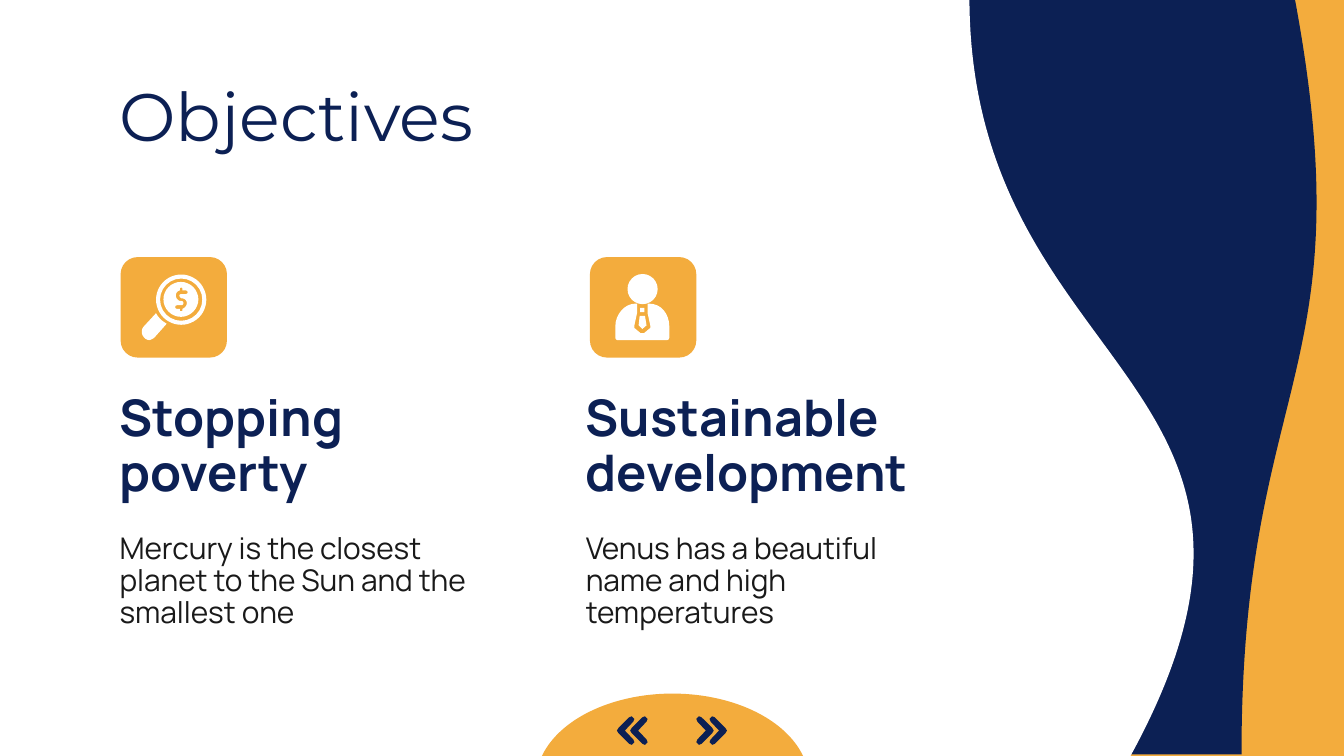
from lxml.etree import SubElement
from pptx import Presentation
from pptx.dml.color import RGBColor
from pptx.enum.shapes import MSO_SHAPE
from pptx.enum.text import MSO_ANCHOR, MSO_AUTO_SIZE, PP_ALIGN
from pptx.oxml.ns import qn
from pptx.util import Cm, Pt

NAVY = RGBColor(0x0C, 0x20, 0x54)
ORANGE = RGBColor(0xF3, 0xAC, 0x3D)
WHITE = RGBColor(0xFF, 0xFF, 0xFF)
INK = RGBColor(0x19, 0x19, 0x19)

HANDLE = [
    (2.95, 5.92), (2.72, 6.17), (2.62, 6.27, 2.72, 6.43, 2.82, 6.43),
    (2.84, 6.43, 2.9, 6.4, 2.92, 6.38), (3.15, 6.12),
    (3.12, 6.1, 3.07, 6.07, 3.05, 6.05), (3.02, 6.02, 2.97, 5.97, 2.95, 5.92),
]
COIN = [
    (3.42, 5.33), (3.6, 5.33, 3.75, 5.48, 3.75, 5.66),
    (3.75, 5.84, 3.6, 5.99, 3.42, 5.99), (3.24, 5.99, 3.09, 5.84, 3.09, 5.66),
    (3.09, 5.48, 3.24, 5.33, 3.42, 5.33),
]
DOLLAR = [
    (3.43, 5.44), (3.45, 5.44, 3.45, 5.46, 3.45, 5.49), (3.51, 5.49),
    (3.56, 5.49, 3.56, 5.56, 3.51, 5.56), (3.43, 5.56),
    (3.38, 5.56, 3.38, 5.61, 3.43, 5.64), (3.45, 5.64),
    (3.56, 5.66, 3.56, 5.79, 3.45, 5.84), (3.45, 5.87),
    (3.45, 5.89, 3.4, 5.89, 3.4, 5.87), (3.4, 5.84), (3.35, 5.84),
    (3.3, 5.84, 3.3, 5.77, 3.35, 5.77), (3.43, 5.77),
    (3.48, 5.77, 3.48, 5.69, 3.43, 5.69), (3.4, 5.69),
    (3.3, 5.66, 3.3, 5.51, 3.4, 5.49), (3.4, 5.46),
    (3.4, 5.44, 3.41, 5.44, 3.43, 5.44),
]
JACKET = [
    (12.01, 5.74), (11.81, 5.74, 11.63, 5.94, 11.63, 6.17), (11.63, 6.38),
    (11.63, 6.4, 11.64, 6.43, 11.68, 6.43), (12.6, 6.43),
    (12.64, 6.43, 12.65, 6.4, 12.65, 6.38), (12.65, 6.17),
    (12.65, 5.94, 12.5, 5.74, 12.27, 5.74), (12.24, 5.74), (12.24, 5.92),
    (12.29, 6.15), (12.29, 6.2), (12.17, 6.3), (12.11, 6.3), (11.99, 6.2),
    (11.99, 6.15), (12.04, 5.92), (12.04, 5.74),
]
TIE = [(12.09, 5.97), (12.07, 6.15), (12.14, 6.22), (12.22, 6.15), (12.19, 5.97)]
CHEVRON_TOP = [(0.18, 0.27), (0.02, 0.1), (0, 0.05), (0.05, 0), (0.1, 0.02),
               (0.3, 0.22), (0.33, 0.27)]
CHEVRON = CHEVRON_TOP + [(x, 0.54 - y) for x, y in CHEVRON_TOP[-2:0:-1]]

OBJECTIVES = [
    (2.01, 2.28, ["Stopping", "poverty"],
     "Mercury is the closest planet to the Sun and the smallest one"),
    (10.82, 11.15, ["Sustainable development"],
     "Venus has a beautiful name and high temperatures"),
]


def flatten(contour, steps=8):
    points = [contour[0]]
    for segment in contour[1:]:
        if len(segment) == 2:
            points.append(segment)
            continue
        ends = (points[-1], segment[:2], segment[2:4], segment[4:])
        for step in range(1, steps + 1):
            t = step / steps
            weights = ((1 - t) ** 3, 3 * t * (1 - t) ** 2, 3 * t * t * (1 - t), t ** 3)
            points.append(tuple(sum(w * end[axis] for w, end in zip(weights, ends))
                                for axis in (0, 1)))
    return [(Cm(x), Cm(y)) for x, y in points]


class SlideWriter:
    title_font = "Montserrat"
    text_font = "Manrope"
    inset = Cm(0.25)

    def __init__(self, slide):
        self.slide = slide

    def paint(self, shape, color):
        shape.shadow.inherit = False
        shape.fill.solid()
        shape.fill.fore_color.rgb = color
        shape.line.fill.background()

    def preset(self, kind, box, color, adjustments=(), rotation=0, flip=False):
        shape = self.slide.shapes.add_shape(kind, *map(Cm, box))
        for index, value in enumerate(adjustments):
            shape.adjustments[index] = value
        shape.rotation = rotation
        if flip:
            shape._element.spPr.get_or_add_xfrm().set("flipH", "1")
        self.paint(shape, color)

    def outline(self, contours, color):
        first, *others = map(flatten, contours)
        builder = self.slide.shapes.build_freeform(*first[0], scale=1.0)
        builder.add_line_segments(first[1:], close=True)
        for points in others:
            builder.move_to(*points[0])
            builder.add_line_segments(points[1:], close=True)
        self.paint(builder.convert_to_shape(), color)

    def text(self, idx, box, paragraphs, font, size, color, bold=False, spacing=0.9):
        holder = self.slide.placeholders[idx]
        holder.left, holder.top, holder.width, holder.height = map(Cm, box)
        self.slide.shapes._spTree.append(holder._element)
        frame = holder.text_frame
        frame.word_wrap = True
        frame.auto_size = MSO_AUTO_SIZE.NONE
        frame.vertical_anchor = MSO_ANCHOR.MIDDLE
        frame.margin_left = frame.margin_right = self.inset
        frame.margin_top = frame.margin_bottom = self.inset
        for index, words in enumerate(paragraphs):
            paragraph = frame.add_paragraph() if index else frame.paragraphs[0]
            properties = paragraph._p.get_or_add_pPr()
            properties.set("marL", "0")
            properties.set("indent", "0")
            SubElement(properties, qn("a:buNone"))
            paragraph.alignment = PP_ALIGN.LEFT
            paragraph.line_spacing = spacing
            paragraph.space_before = Pt(0)
            run = paragraph.add_run()
            run.text = words
            run.font.name = font
            run.font.size = Pt(size)
            run.font.bold = bold
            run.font.color.rgb = color


def main():
    deck = Presentation()
    deck.slide_width, deck.slide_height = Cm(25.4), Cm(14.29)
    slide = deck.slides.add_slide(deck.slide_layouts.get_by_name("Comparison"))
    slide.background.fill.solid()
    slide.background.fill.fore_color.rgb = ORANGE
    writer = SlideWriter(slide)

    wave = MSO_SHAPE.FLOWCHART_DOCUMENT
    writer.preset(wave, (14.02, 3.3, 14.27, 7.65), NAVY, rotation=270, flip=True)
    writer.preset(wave, (4.22, -4.29, 14.4, 22.86), WHITE, rotation=270)

    writer.text(0, (2.01, 1.5, 16.1, 1.35), ["Objectives"],
                writer.title_font, 36, NAVY, spacing=1.0)
    for column, (left, tile_left, heading, detail) in enumerate(OBJECTIVES):
        writer.preset(MSO_SHAPE.ROUNDED_RECTANGLE, (tile_left, 4.86, 2.01, 1.9),
                      ORANGE, [0.17])
        writer.text(1 + 2 * column, (left, 7.47, 7.29, 1.98), heading,
                    writer.text_font, 27, NAVY, bold=True)
        writer.text(2 + 2 * column, (left, 10.01, 7.29, 1.98), [detail],
                    writer.text_font, 16, INK)

    writer.preset(MSO_SHAPE.DONUT, (2.95, 5.19, 0.95, 0.95), WHITE, [0.08])
    writer.outline([HANDLE], WHITE)
    writer.outline([COIN, DOLLAR], WHITE)

    writer.preset(MSO_SHAPE.OVAL, (11.86, 5.18, 0.57, 0.57), WHITE)
    writer.outline([JACKET], WHITE)
    writer.outline([TIE], WHITE)
    writer.preset(MSO_SHAPE.RECTANGLE, (12.1, 5.82, 0.08, 0.08), WHITE)

    writer.preset(MSO_SHAPE.PIE, (10.13, 13.11, 5.16, 3.33), ORANGE,
                  [0, 108.31], rotation=180, flip=True)
    for side in (-1, 1):
        for offset in (0.46, 0.71):
            writer.outline([[(12.7 + side * (offset + x), 13.54 + y)
                             for x, y in CHEVRON]], NAVY)

    deck.save("out.pptx")


if __name__ == "__main__":
    main()
